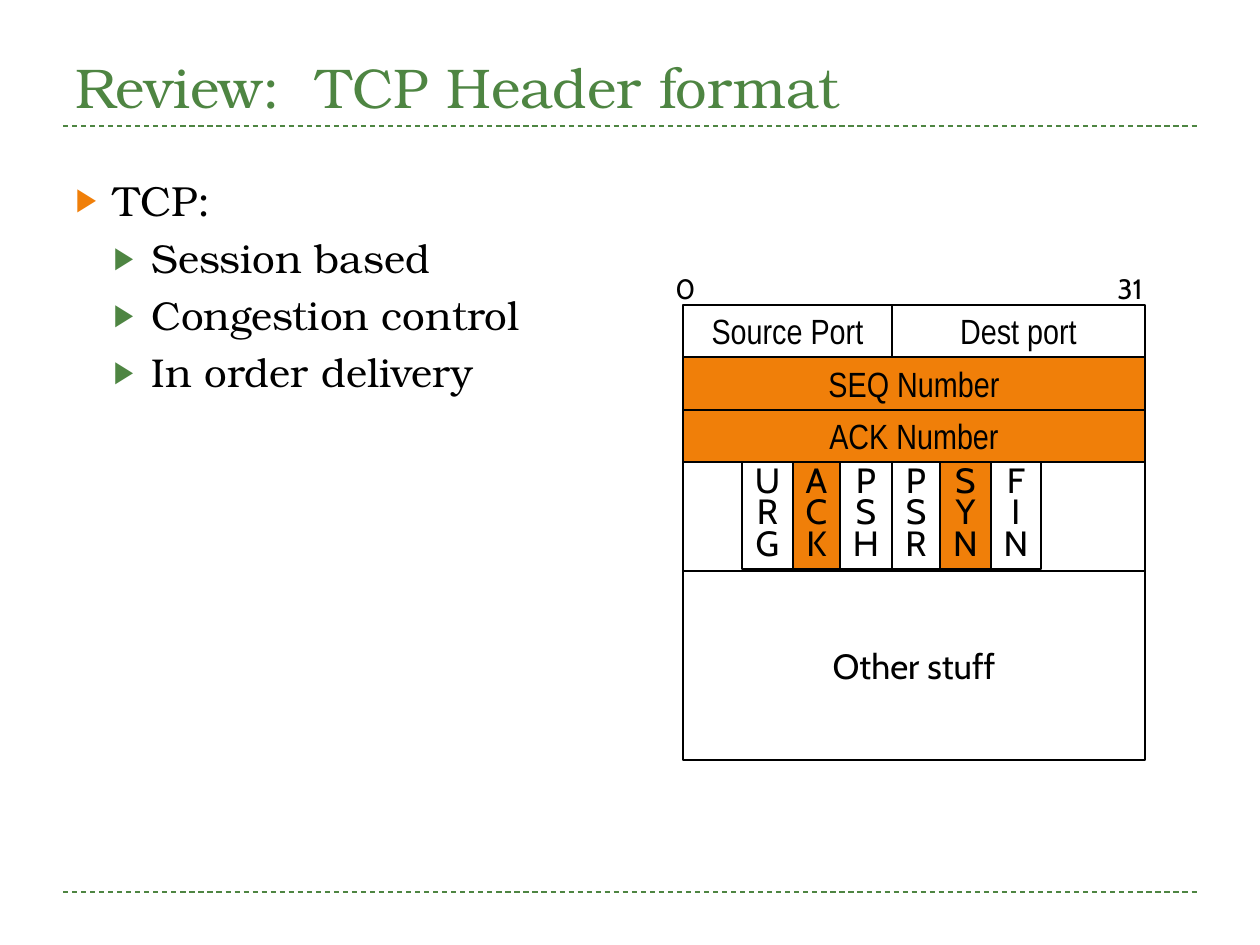
from itertools import pairwise

from lxml import etree
from pptx import Presentation
from pptx import util as u
from pptx.dml.color import RGBColor
from pptx.enum import dml, shapes, text
from pptx.oxml.ns import qn

COLORS = {"green": "4E8542", "orange": "F07F09", "black": "000000"}
SERIF, SANS, NARROW = "TeX Gyre Bonum", "Cabin", "Arial Narrow"
INDENT = 38


def px(n):
    return u.Emu(round(n * 914400 / 126))


def rgb(name):
    return RGBColor.from_string(COLORS[name])


def style(paragraph, face, size, color="black"):
    paragraph.font.name = face
    paragraph.font.size = u.Pt(size)
    paragraph.font.color.rgb = rgb(color)


def place(part, box):
    part.left, part.top, part.width, part.height = map(px, box)


def add_title(slide, box, wording):
    title = slide.shapes.title
    place(title, box)
    frame = title.text_frame
    frame.text = wording
    frame.vertical_anchor = text.MSO_ANCHOR.BOTTOM
    frame.auto_size = text.MSO_AUTO_SIZE.NONE
    heading = frame.paragraphs[0]
    heading.alignment = text.PP_ALIGN.LEFT
    style(heading, SERIF, 32, "green")


def add_bullet(paragraph, level, color):
    properties = paragraph._p.get_or_add_pPr()
    properties.set("marL", str(px(INDENT * (level + 1))))
    properties.set("indent", str(px(-INDENT)))
    bullet_color = etree.SubElement(properties, qn("a:buClr"))
    etree.SubElement(bullet_color, qn("a:srgbClr"), val=COLORS[color])
    etree.SubElement(properties, qn("a:buSzPct"), val="76000")
    etree.SubElement(properties, qn("a:buChar"), char="▶")


def add_points(slide, box, points):
    body = slide.placeholders[1]
    place(body, box)
    frame = body.text_frame
    frame.text = "\n".join(wording for level, wording in points)
    frame.auto_size = text.MSO_AUTO_SIZE.NONE
    for i, (paragraph, (level, _)) in enumerate(zip(frame.paragraphs, points)):
        paragraph.level = level
        add_bullet(paragraph, level, "green" if level else "orange")
        paragraph.space_before = u.Pt(5 if i else 0)
        style(paragraph, SERIF, 23 if level else 24)


def add_rule(slide, left, right, y):
    rule = slide.shapes.add_connector(
        shapes.MSO_CONNECTOR.STRAIGHT, px(left), px(y), px(right), px(y))
    rule.line.color.rgb = rgb("green")
    rule.line.width = u.Pt(0.75)
    rule.line.dash_style = dml.MSO_LINE.DASH
    etree.SubElement(rule._element.spPr, qn("a:effectLst"))


def add_field(diagram, box, wording="", face=NARROW, fill=None, spacing=1.0):
    field = diagram.shapes.add_shape(
        shapes.MSO_SHAPE.RECTANGLE, *map(px, box))
    field.shadow.inherit = False
    if fill:
        field.fill.solid()
        field.fill.fore_color.rgb = rgb(fill)
    else:
        field.fill.background()
    field.line.color.rgb = rgb("black")
    field.line.width = u.Pt(1)
    frame = field.text_frame
    frame.text = wording
    frame.word_wrap = False
    frame.vertical_anchor = text.MSO_ANCHOR.MIDDLE
    for paragraph in frame.paragraphs:
        paragraph.alignment = text.PP_ALIGN.CENTER
        paragraph.line_spacing = spacing
        style(paragraph, face, 20)


def add_bit_label(diagram, box, number):
    label = diagram.shapes.add_textbox(*map(px, box))
    label.text_frame.text = number
    label.text_frame.word_wrap = False
    style(label.text_frame.paragraphs[0], SANS, 16)


def add_tcp_header(slide, box):
    left, top, width, height = box
    diagram = slide.shapes.add_group_shape()
    ports, seq, ack, flags, other = (top + y for y in (0, 52, 105, 157, 266))
    split = 209

    add_field(diagram, (left, ports, split, seq - ports), "Source Port")
    add_field(diagram, (left + split, ports, width - split, seq - ports), "Dest port")
    add_field(diagram, (left, seq, width, ack - seq), "SEQ Number", fill="orange")
    add_field(diagram, (left, ack, width, flags - ack), "ACK Number", fill="orange")
    add_field(diagram, (left, flags, width, other - flags))
    add_field(diagram, (left, other, width, top + height - other), "Other stuff", SANS)

    flag_edges = (59, 110, 157, 209, 257, 308, 358)
    flag_names = ("URG", "ACK", "PSH", "PSR", "SYN", "FIN")
    for name, (start, end) in zip(flag_names, pairwise(flag_edges)):
        add_field(diagram, (left + start, flags, end - start, 107), "\n".join(name),
                  SANS, "orange" if name in ("ACK", "SYN") else None, 0.75)

    add_bit_label(diagram, (left - 20, top - 40, 40, 47), "0")
    add_bit_label(diagram, (left + width - 40, top - 40, 57, 47), "31")


def main():
    deck = Presentation()
    deck.slide_width, deck.slide_height = px(1260), px(945)
    slide = deck.slides.add_slide(deck.slide_layouts[1])
    for y in (892, 126):
        add_rule(slide, 63, 1197, y)
    add_title(slide, (63, 0, 1134, 126), "Review:  TCP Header format")
    add_points(slide, (63, 168, 557, 680), [
        (0, "TCP:"),
        (1, "Session based"),
        (1, "Congestion control"),
        (1, "In order delivery"),
    ])
    add_tcp_header(slide, (683, 305, 462, 455))
    deck.save("out.pptx")


if __name__ == "__main__":
    main()
